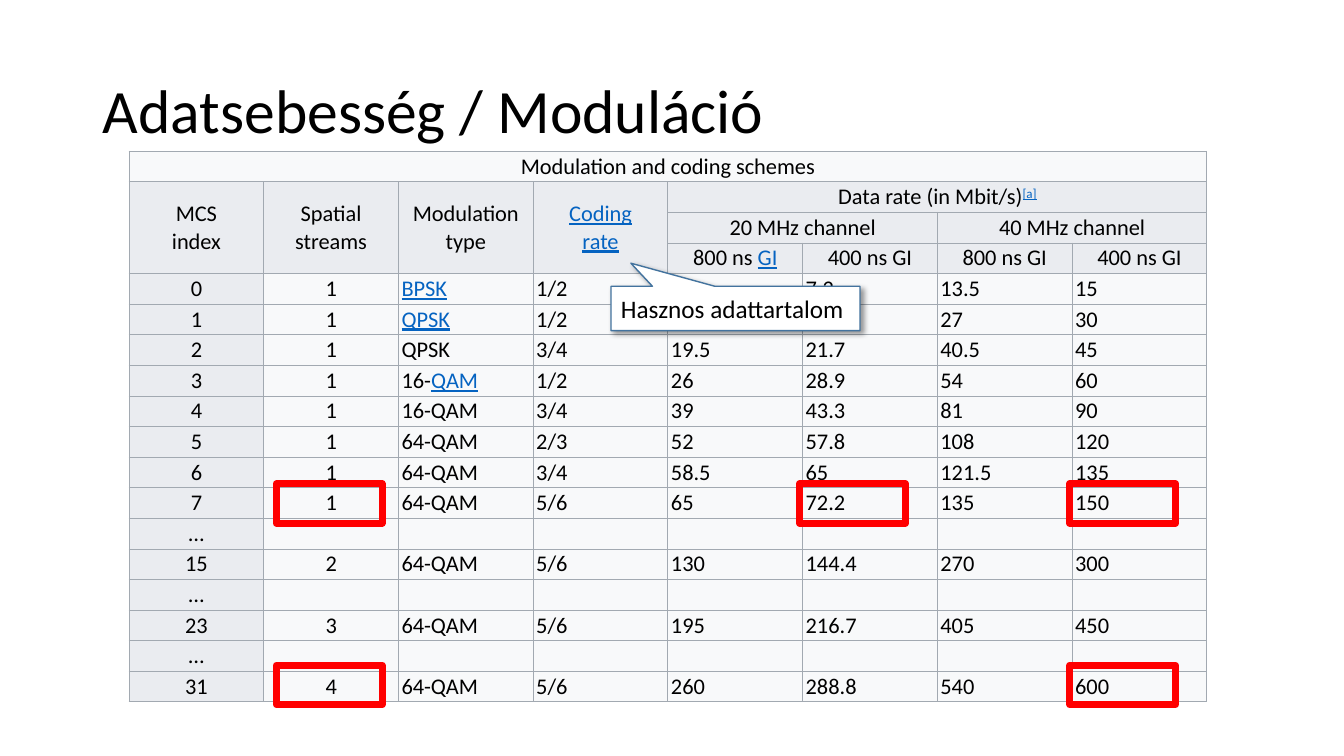
from dataclasses import dataclass

from lxml.etree import SubElement
from pptx import Presentation
from pptx.dml.color import RGBColor
from pptx.enum.shapes import MSO_SHAPE
from pptx.enum.text import MSO_ANCHOR, PP_ALIGN
from pptx.oxml import parse_xml
from pptx.oxml.ns import nsdecls, qn
from pptx.util import Inches, Pt


@dataclass(frozen=True)
class Theme:
    font: str = "Calibri"
    text: str = "000000"
    link: str = "0563C1"
    header: str = "EAECF0"
    body: str = "F8F9FA"
    grid: str = "A2A9B1"
    highlight: str = "FF0000"
    callout_fill: str = "FFFFFF"
    callout_line: str = "43739E"
    title_size: int = 44
    table_size: int = 16
    callout_size: int = 18
    grid_width: float = 0.75


TITLE = "Adatsebesség / Moduláció"
HEADER_CELLS = [
    (0, 0, 1, 8, "Modulation and coding schemes"),
    (1, 0, 3, 1, "MCS\nindex"),
    (1, 1, 3, 1, "Spatial\nstreams"),
    (1, 2, 3, 1, "Modulation\ntype"),
    (1, 3, 3, 1, "|Coding\nrate"),
    (1, 4, 1, 4, "Data rate (in Mbit/s)|[a]"),
    (2, 4, 1, 2, "20 MHz channel"),
    (2, 6, 1, 2, "40 MHz channel"),
    (3, 4, 1, 1, "800 ns |GI"),
    (3, 5, 1, 1, "400 ns GI"),
    (3, 6, 1, 1, "800 ns GI"),
    (3, 7, 1, 1, "400 ns GI"),
]
GAP_ROW = ["…"] + [""] * 7
SCHEMES = [
    ["0", "1", "|BPSK", "1/2", "6.5", "7.2", "13.5", "15"],
    ["1", "1", "|QPSK", "1/2", "13", "14.4", "27", "30"],
    ["2", "1", "QPSK", "3/4", "19.5", "21.7", "40.5", "45"],
    ["3", "1", "16-|QAM", "1/2", "26", "28.9", "54", "60"],
    ["4", "1", "16-QAM", "3/4", "39", "43.3", "81", "90"],
    ["5", "1", "64-QAM", "2/3", "52", "57.8", "108", "120"],
    ["6", "1", "64-QAM", "3/4", "58.5", "65", "121.5", "135"],
    ["7", "1", "64-QAM", "5/6", "65", "72.2", "135", "150"],
    GAP_ROW,
    ["15", "2", "64-QAM", "5/6", "130", "144.4", "270", "300"],
    GAP_ROW,
    ["23", "3", "64-QAM", "5/6", "195", "216.7", "405", "450"],
    GAP_ROW,
    ["31", "4", "64-QAM", "5/6", "260", "288.8", "540", "600"],
]
HEADER_ROWS = 4
HIGHLIGHTS = [(7.93, 4.8), (10.61, 4.8), (2.74, 6.6), (2.74, 4.8), (10.61, 6.6)]


class SlideBuilder:
    def __init__(self, slide, theme):
        self.slide = slide
        self.theme = theme

    def style_font(self, font, size, color):
        font.name = self.theme.font
        font.size = Pt(size)
        font.color.rgb = RGBColor.from_string(color)

    def title(self, text, left, top, width, height):
        shape = self.slide.shapes.title
        shape.left, shape.top = Inches(left), Inches(top)
        shape.width, shape.height = Inches(width), Inches(height)
        shape.text_frame.text = text
        shape.text_frame.vertical_anchor = MSO_ANCHOR.MIDDLE
        paragraph = shape.text_frame.paragraphs[0]
        paragraph.alignment = PP_ALIGN.LEFT
        paragraph.line_spacing = 0.9
        self.style_font(paragraph.font, self.theme.title_size, self.theme.text)

    def table(self, rows, columns, left, top, width, height):
        frame = self.slide.shapes.add_table(
            rows, columns, Inches(left), Inches(top), Inches(width), Inches(height))
        table = frame.table
        table.first_row = table.horz_banding = False
        for column in table.columns:
            column.width = Inches(width / columns)
        for row in table.rows:
            row.height = Inches(height / rows)
        return table

    def cell(self, cell, text, fill, centered, borders):
        cell.fill.solid()
        cell.fill.fore_color.rgb = RGBColor.from_string(fill)
        cell.vertical_anchor = MSO_ANCHOR.MIDDLE
        cell.margin_left = cell.margin_right = Inches(0.03)
        cell.margin_top = cell.margin_bottom = Inches(0.01)
        paragraph = cell.text_frame.paragraphs[0]
        paragraph.alignment = PP_ALIGN.CENTER if centered else PP_ALIGN.LEFT
        self.style_font(paragraph.font, self.theme.table_size, self.theme.text)
        for index, part in enumerate(text.split("|")):
            if part:
                self.runs(paragraph, part, index == 1)
        if not text:
            SubElement(paragraph._p, qn("a:endParaRPr"), sz=str(self.theme.table_size * 100))
        self.borders(cell, borders)

    def runs(self, paragraph, text, is_link):
        for index, line in enumerate(text.split("\n")):
            if index:
                paragraph.add_line_break()
            run = paragraph.add_run()
            run.text = line
            if is_link:
                run.font.color.rgb = RGBColor.from_string(self.theme.link)
                run.font.underline = True
            if line.startswith("["):
                run.font._element.set("baseline", "30000")

    def borders(self, cell, colors):
        properties = cell._tc.get_or_add_tcPr()
        for index, (side, color) in enumerate(zip("LRTB", colors)):
            properties.insert(index, parse_xml(
                f'<a:ln{side} {nsdecls("a")} w="{Pt(self.theme.grid_width)}">'
                f'<a:solidFill><a:srgbClr val="{color}"/></a:solidFill></a:ln{side}>'))

    def highlight(self, left, top):
        shape = self.slide.shapes.add_shape(
            MSO_SHAPE.RECTANGLE, Inches(left), Inches(top), Inches(1.05), Inches(0.39))
        shape.shadow.inherit = False
        shape.fill.background()
        shape.line.color.rgb = RGBColor.from_string(self.theme.highlight)
        shape.line.width = Pt(5)

    def callout(self, text, left, top, width, height):
        shape = self.slide.shapes.add_shape(
            MSO_SHAPE.RECTANGULAR_CALLOUT,
            Inches(left), Inches(top), Inches(width), Inches(height))
        shape.adjustments[0], shape.adjustments[1] = -0.42, -1.02
        shape.fill.solid()
        shape.fill.fore_color.rgb = RGBColor.from_string(self.theme.callout_fill)
        shape.line.color.rgb = RGBColor.from_string(self.theme.callout_line)
        shape.line.width = Pt(1)
        shape._element.spPr.append(parse_xml(
            f'<a:effectLst {nsdecls("a")}>'
            f'<a:outerShdw blurRad="{Pt(4)}" dist="{Pt(3)}" dir="2700000" algn="tl" rotWithShape="0">'
            '<a:srgbClr val="000000"><a:alpha val="40000"/></a:srgbClr>'
            '</a:outerShdw></a:effectLst>'))
        shape.text_frame.text = text
        shape.text_frame.word_wrap = True
        shape.text_frame.vertical_anchor = MSO_ANCHOR.MIDDLE
        paragraph = shape.text_frame.paragraphs[0]
        paragraph.alignment = PP_ALIGN.LEFT
        self.style_font(paragraph.font, self.theme.callout_size, self.theme.text)


def main():
    presentation = Presentation()
    presentation.slide_width, presentation.slide_height = Inches(13.33), Inches(7.5)
    theme = Theme()
    builder = SlideBuilder(presentation.slides.add_slide(presentation.slide_layouts[5]), theme)
    builder.title(TITLE, 0.92, 0.4, 11.5, 1.45)

    table = builder.table(HEADER_ROWS + len(SCHEMES), 8, 1.28, 1.5, 10.69, 5.47)
    for row, column, row_span, column_span, text in HEADER_CELLS:
        cell = table.cell(row, column)
        if row_span * column_span > 1:
            cell.merge(table.cell(row + row_span - 1, column + column_span - 1))
        builder.cell(cell, text, theme.header if row else theme.body, True, [theme.grid] * 4)
    for column in range(8):
        builder.borders(table.cell(0, column), [theme.text] * 4)
    for row, values in enumerate(SCHEMES, HEADER_ROWS):
        for column, text in enumerate(values):
            fill = theme.body if column else theme.header
            builder.cell(table.cell(row, column), text, fill, column < 2, [theme.grid] * 4)

    for left, top in HIGHLIGHTS:
        builder.highlight(left, top)
    builder.callout("Hasznos adattartalom", 6.06, 2.84, 2.47, 0.44)
    presentation.save("out.pptx")


if __name__ == "__main__":
    main()
